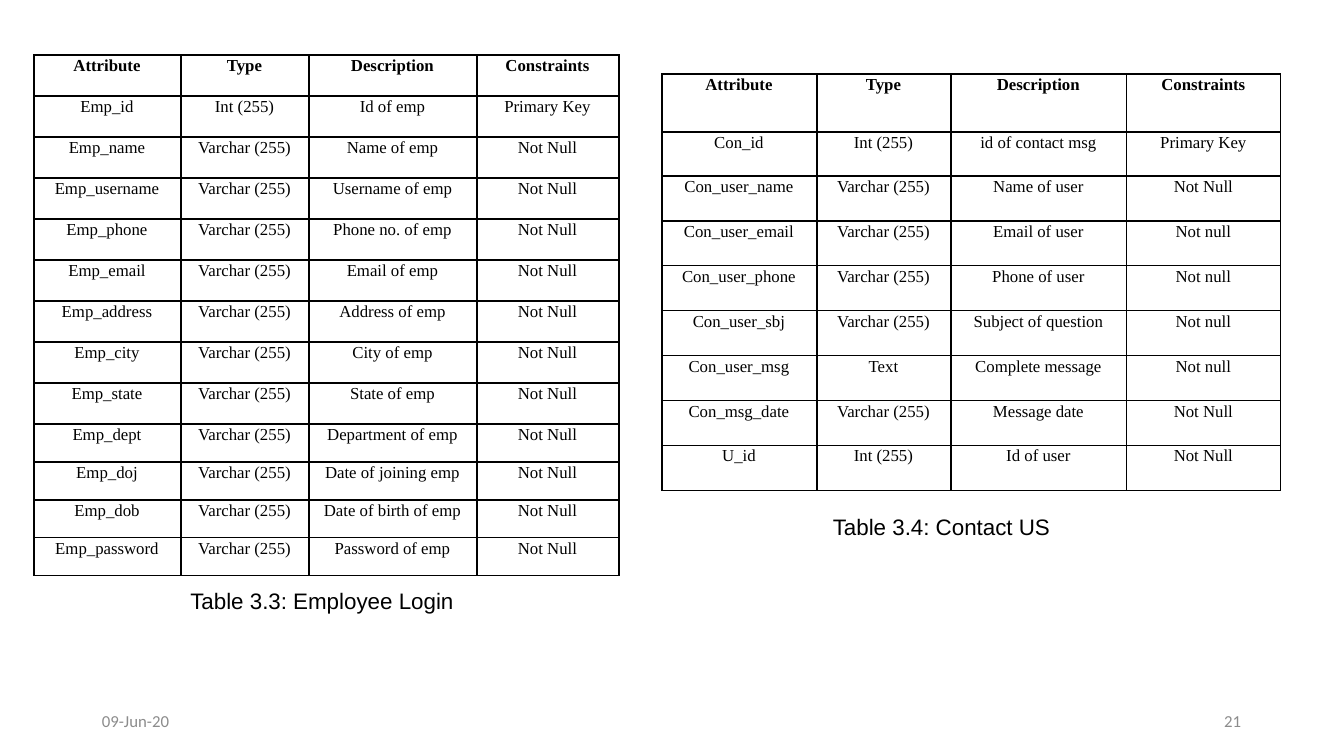
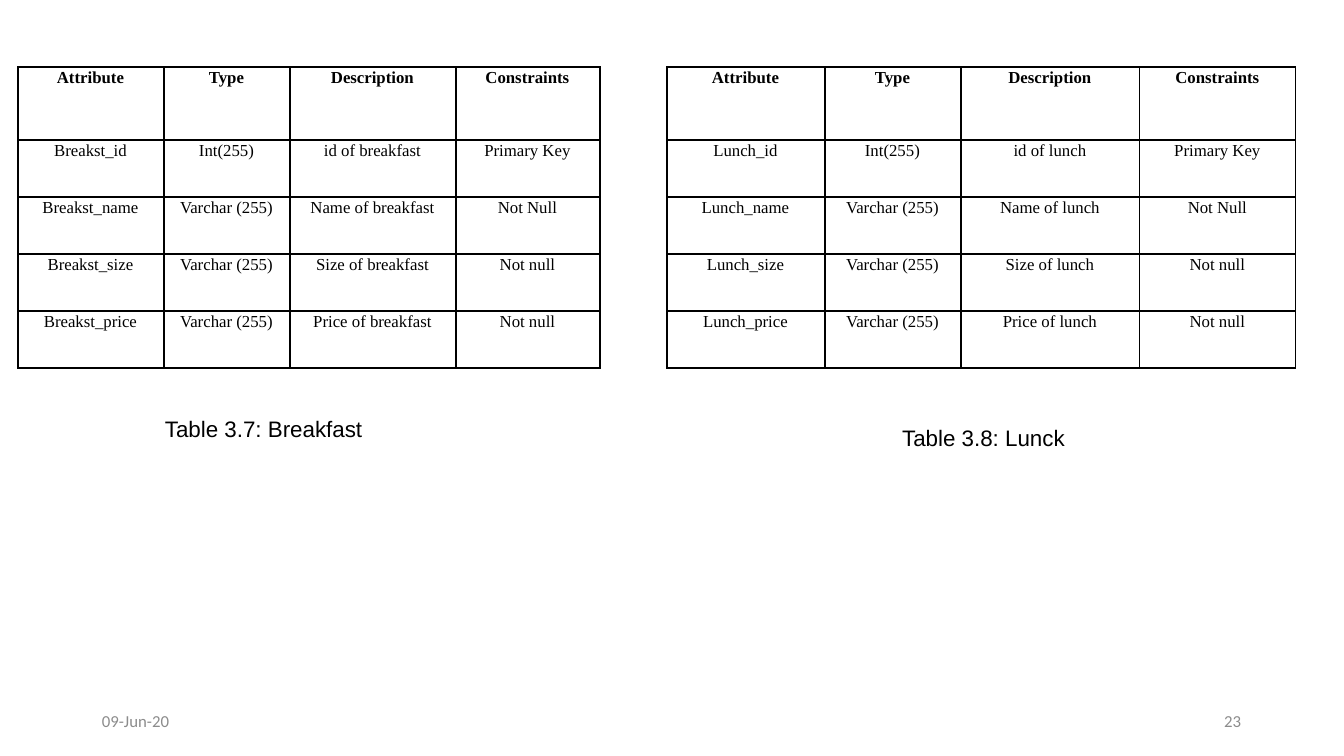
"""Build two slides of captioned database tables."""
from lxml import etree
from pptx import Presentation
from pptx.dml.color import RGBColor
from pptx.enum.text import MSO_ANCHOR, PP_ALIGN
from pptx.oxml.ns import qn
from pptx.util import Pt

LEFT, CENTER, RIGHT = PP_ALIGN.LEFT, PP_ALIGN.CENTER, PP_ALIGN.RIGHT
MIDDLE = MSO_ANCHOR.MIDDLE
PX = 12192000 / 1344
BLACK, GREY = "000000", "8C8C8C"
DATE = "09-Jun-20"
HEAD = "Attribute|Type|Description|Constraints"

EMP = [
    "Emp_id|Int (255)|Id of emp|Primary Key",
    "Emp_name|Varchar (255)|Name of emp|Not Null",
    "Emp_username|Varchar (255)|Username of emp|Not Null",
    "Emp_phone|Varchar (255)|Phone no. of emp|Not Null",
    "Emp_email|Varchar (255)|Email of emp|Not Null",
    "Emp_address|Varchar (255)|Address of emp|Not Null",
    "Emp_city|Varchar (255)|City of emp|Not Null",
    "Emp_state|Varchar (255)|State of emp|Not Null",
    "Emp_dept|Varchar (255)|Department of emp|Not Null",
    "Emp_doj|Varchar (255)|Date of joining emp|Not Null",
    "Emp_dob|Varchar (255)|Date of birth of emp|Not Null",
    "Emp_password|Varchar (255)|Password of emp|Not Null",
]
CONTACT = [
    "Con_id|Int (255)|id of contact msg|Primary Key",
    "Con_user_name|Varchar (255)|Name of user|Not Null",
    "Con_user_email|Varchar (255)|Email of user|Not null",
    "Con_user_phone|Varchar (255)|Phone of user|Not null",
    "Con_user_sbj|Varchar (255)|Subject of question|Not null",
    "Con_user_msg|Text|Complete message|Not null",
    "Con_msg_date|Varchar (255)|Message date|Not Null",
    "U_id|Int (255)|Id of user|Not Null",
]
MEALS = [
    [
        f"{key}_id|Int(255)|id of {meal}|Primary Key",
        f"{key}_name|Varchar (255)|Name of {meal}|Not Null",
        f"{key}_size|Varchar (255)|Size of {meal}|Not null",
        f"{key}_price|Varchar (255)|Price of {meal}|Not null",
    ]
    for key, meal in [("Breakst", "breakfast"), ("Lunch", "lunch")]
]

SLIDES = [
    ("21", [
        (34, 55, [147, 128, 168, 142], [41] * 9 + [38] * 4, EMP,
         "Table 3.3: Employee Login", (150, 582, 344, 37), CENTER),
        (662, 74, [155, 134, 176, 154], [58, 44] + [45] * 7, CONTACT,
         "Table 3.4: Contact US", (597, 508, 689, 37), CENTER),
    ]),
    ("23", [
        (18, 67, [146, 126, 166, 144], [73] + [57] * 4, MEALS[0],
         "Table 3.7: Breakfast", (155, 410, 249, 37), LEFT),
        (667, 67, [158, 136, 179, 156], [73] + [57] * 4, MEALS[1],
         "Table 3.8: Lunck", (891, 419, 185, 37), CENTER),
    ]),
]


def style(para, text, font, size, color, align):
    para.text = text
    para.alignment = align
    para.font.name = font
    para.font.size = Pt(size)
    para.font.color.rgb = RGBColor.from_string(color)


def label(slide, text, box, font, size, color, align):
    frame = slide.shapes.add_textbox(*[round(n * PX) for n in box]).text_frame
    frame.word_wrap = True
    frame.vertical_anchor = MIDDLE
    style(frame.paragraphs[0], text, font, size, color, align)


deck = Presentation()
deck.slide_width = round(1344 * PX)
deck.slide_height = round(756 * PX)

for number, tables in SLIDES:
    slide = deck.slides.add_slide(deck.slide_layouts[6])
    for text, left, align in [(DATE, 92, LEFT), (number, 949, RIGHT)]:
        label(slide, text, (left, 701, 302, 40), "Calibri", 12, GREY, align)

    for left, top, cols, rows, data, title, box, align in tables:
        area = [round(n * PX) for n in (left, top, sum(cols), sum(rows))]
        grid = slide.shapes.add_table(len(rows), len(cols), *area).table
        grid.first_row = grid.horz_banding = False
        for col, width in zip(grid.columns, cols):
            col.width = round(width * PX)
        for r, line in enumerate([HEAD] + data):
            grid.rows[r].height = round(rows[r] * PX)
            for c, text in enumerate(line.split("|")):
                cell = grid.cell(r, c)
                cell.margin_left, cell.margin_right = round(7 * PX), round(8 * PX)
                cell.margin_top = cell.margin_bottom = 0
                cell.fill.background()
                para = cell.text_frame.paragraphs[0]
                style(para, text, "Times New Roman", 12, BLACK, CENTER)
                para.font.bold = r == 0
                para.line_spacing = 1.07
                props = cell._tc.get_or_add_tcPr()
                for i, side in enumerate(["lnL", "lnR", "lnT", "lnB"]):
                    edge = etree.Element(qn("a:" + side), w=str(Pt(1)))
                    fill = etree.SubElement(edge, qn("a:solidFill"))
                    etree.SubElement(fill, qn("a:srgbClr"), val=BLACK)
                    props.insert(i, edge)
        label(slide, title, box, "Arial", 16, BLACK, align)

deck.save("out.pptx")
